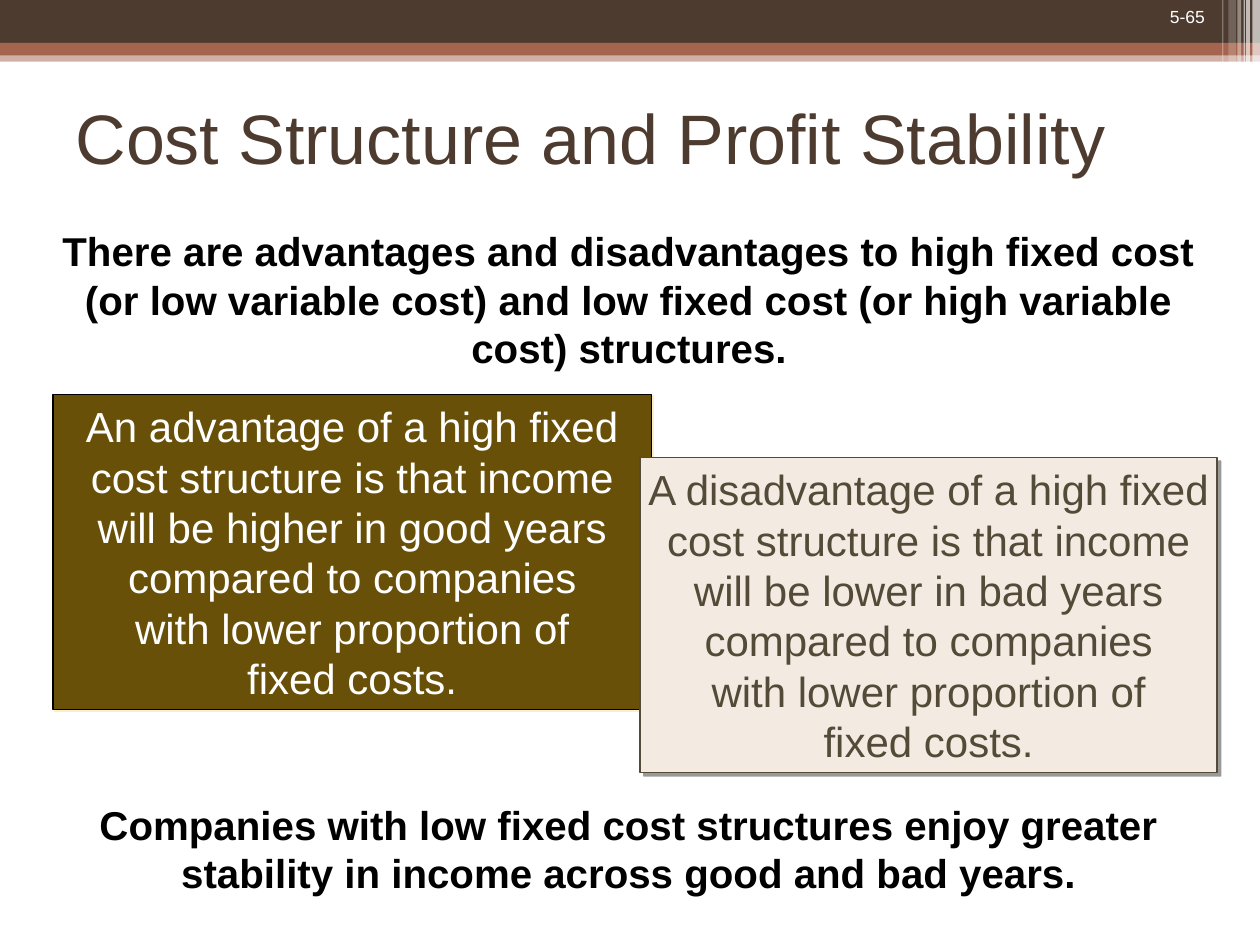
from dataclasses import dataclass

from lxml import etree
from pptx import Presentation
from pptx.dml.color import RGBColor
from pptx.enum.shapes import MSO_SHAPE
from pptx.enum.text import MSO_ANCHOR, PP_ALIGN
from pptx.oxml.ns import qn
from pptx.util import Inches, Pt

RECT = MSO_SHAPE.RECTANGLE
LEFT, CENTER, RIGHT = PP_ALIGN.LEFT, PP_ALIGN.CENTER, PP_ALIGN.RIGHT
TOP, MIDDLE = MSO_ANCHOR.TOP, MSO_ANCHOR.MIDDLE
TITLE_ONLY = 5


@dataclass(frozen=True)
class Theme:
    font: str = "Arial"
    white: str = "FFFFFF"
    black: str = "000000"
    brown: str = "4E3B30"
    rust: str = "A5644E"
    olive: str = "695008"
    cream: str = "F3EAE2"
    taupe: str = "534B38"
    glow: str = "FBEEC9"
    title_size: int = 40
    box_size: int = 24
    statement_size: int = 23
    number_size: int = 10


THEME = Theme()

# Left, top, width, height, colour, opacity in percent
BANDS = [
    (0, 0.4, 10, 0.09, THEME.rust, 50),
    (0, 0, 10, 0.34, THEME.brown, 100),
    (0, 0.34, 10, 0.1, THEME.rust, 100),
]

# Left, width, height, opacity of the white stripes at the right end
STRIPES = [
    (9.94, 0.06, 0.68, 65),
    (9.89, 0.03, 0.68, 65),
    (9.87, 0.01, 0.68, 60),
    (9.82, 0.03, 0.68, 40),
    (9.75, 0.06, 0.64, 20),
    (9.7, 0.01, 0.64, 30),
]

ADVANTAGE = """An advantage of a high fixed
cost structure is that income
will be higher in good years
compared to companies
with lower proportion of
fixed costs."""

DISADVANTAGE = """A disadvantage of a high fixed
cost structure is that income
will be lower in bad years
compared to companies
with lower proportion of
fixed costs."""

INTRO = ("There are advantages and disadvantages to high fixed cost "
         "(or low variable cost) and low fixed cost (or high variable cost) "
         "structures.")

CONCLUSION = ("Companies with low fixed cost structures enjoy greater "
              "stability in income across good and bad years.")


def write_text(tf, text, *, size, color, bold=False, align=LEFT, anchor=TOP,
               wrap=True):
    """Fill a text frame with one paragraph; newlines become line breaks."""
    tf.word_wrap = wrap
    tf.vertical_anchor = anchor
    p = tf.paragraphs[0]
    p.alignment = align
    for i, line in enumerate(text.split("\n")):
        if i:
            p.add_line_break()
        r = p.add_run()
        r.text = line
        r.font.name = THEME.font
        r.font.size = Pt(size)
        r.font.bold = bold
        r.font.color.rgb = RGBColor.from_string(color)


def add_rect(slide, left, top, width, height, fill, opacity=100):
    sp = slide.shapes.add_shape(RECT, Inches(left), Inches(top),
                                Inches(width), Inches(height))
    sp.shadow.inherit = False
    sp.fill.solid()
    sp.fill.fore_color.rgb = RGBColor.from_string(fill)
    sp.line.fill.background()
    if opacity < 100:
        color = sp.fill._xPr.find(f"{qn('a:solidFill')}/{qn('a:srgbClr')}")
        etree.SubElement(color, qn("a:alpha"), val=str(opacity * 1000))
    return sp


def add_shadow(sp, color, opacity, distance):
    """Cast a sharp shadow towards the lower right."""
    effects = sp._element.spPr.find(qn("a:effectLst"))
    shadow = etree.SubElement(effects, qn("a:outerShdw"), blurRad="0",
                              dist=str(Pt(distance)), dir=str(45 * 60000),
                              algn="ctr", rotWithShape="0")
    clr = etree.SubElement(shadow, qn("a:srgbClr"), val=color)
    etree.SubElement(clr, qn("a:alpha"), val=str(opacity * 1000))


def add_box(slide, text, left, top, width, fill, line, color, shadow):
    sp = add_rect(slide, left, top, width, 2.5, fill)
    sp.line.color.rgb = RGBColor.from_string(line)
    sp.line.width = Pt(0.75)
    add_shadow(sp, *shadow)
    write_text(sp.text_frame, text, size=THEME.box_size, color=color,
               align=CENTER, anchor=MIDDLE, wrap=False)


def add_label(slide, text, left, top, width, height, **fmt):
    sp = slide.shapes.add_textbox(Inches(left), Inches(top),
                                  Inches(width), Inches(height))
    write_text(sp.text_frame, text, **fmt)


def add_statement(slide, text, top, height):
    add_label(slide, text, 0.33, top, 9.33, height, size=THEME.statement_size,
              color=THEME.black, bold=True, align=CENTER)


def add_header(slide):
    for band in BANDS:
        add_rect(slide, *band)
    for left, width, height, opacity in STRIPES:
        add_rect(slide, left, 0, width, height, THEME.white, opacity)
    add_label(slide, "5-65", 8.58, 0, 1.08, 0.27, size=THEME.number_size,
              color=THEME.white, align=RIGHT)


def set_title(slide, text):
    title = slide.shapes.title
    title.left, title.top = Inches(0.5), Inches(0.5)
    title.width, title.height = Inches(9), Inches(1.17)
    write_text(title.text_frame, text, size=THEME.title_size,
               color=THEME.brown, anchor=MIDDLE)


def main():
    prs = Presentation()
    prs.slide_width, prs.slide_height = Inches(10), Inches(7.5)
    slide = prs.slides.add_slide(prs.slide_layouts[TITLE_ONLY])

    # Header and title
    add_header(slide)
    set_title(slide, "Cost Structure and Profit Stability")

    # Opening statement
    add_statement(slide, INTRO, 1.75, 1.25)

    # Overlapping boxes
    add_box(slide, ADVANTAGE, 0.42, 3.13, 4.75, THEME.olive, THEME.black,
            THEME.white, (THEME.glow, 100, 1.4))
    add_box(slide, DISADVANTAGE, 5.08, 3.63, 4.58, THEME.cream, THEME.taupe,
            THEME.taupe, (THEME.black, 40, 3))

    # Closing statement
    add_statement(slide, CONCLUSION, 6.3, 0.87)

    prs.save("out.pptx")


if __name__ == "__main__":
    main()
